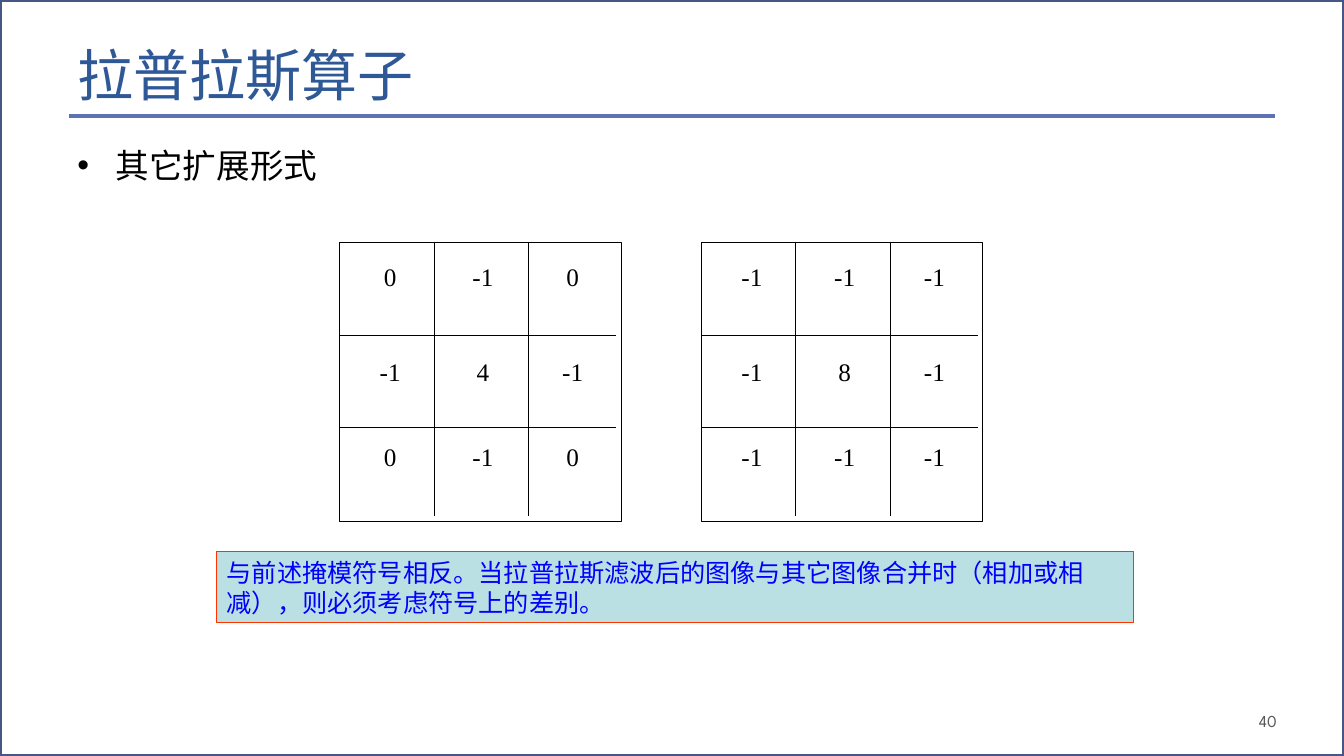
from dataclasses import dataclass
from itertools import product

from lxml.etree import SubElement
from pptx import Presentation
from pptx.dml.color import RGBColor
from pptx.enum.shapes import MSO_CONNECTOR as Connector, MSO_SHAPE as Preset
from pptx.enum.text import MSO_ANCHOR as Anchor, MSO_AUTO_SIZE as AutoSize, PP_ALIGN as Align
from pptx.oxml.ns import qn
from pptx.util import Inches, Pt

WIDTH, HEIGHT = Inches(13.33), Inches(7.5)
CJK_FONT = "Noto Sans CJK SC"
BLACK = "000000"


@dataclass(frozen=True)
class Box:
    left: float
    top: float
    width: float
    height: float

    def emu(self) -> tuple[int, int, int, int]:
        return across(self.left), down(self.top), across(self.width), down(self.height)


@dataclass(frozen=True)
class TextStyle:
    size: float
    font: str
    color: str
    align: Align = Align.LEFT
    anchor: Anchor = Anchor.TOP
    line_points: float | None = None


@dataclass(frozen=True)
class Mask:
    left: float
    rows: tuple[tuple[str, ...], ...]


MASK_TOP, MASK_WIDTH, MASK_HEIGHT = 32.13, 20.93, 36.8
COLUMN_STEP, ROW_STEP = 7.02, 12.2
COLUMN_LINE, ROW_LINE = 36.13, 20.59
VALUE_LEFTS, VALUE_TOPS = (-1.65, 5.25, 11.93), (1.73, 14.4, 25.6)
VALUE_WIDTH, VALUE_HEIGHT = 10.8, 11.73
VALUE_STYLE = TextStyle(18, "Times New Roman", BLACK, Align.CENTER)

MASKS = (
    Mask(25.28, (("0", "-1", "0"), ("-1", "4", "-1"), ("0", "-1", "0"))),
    Mask(52.2, (("-1", "-1", "-1"), ("-1", "8", "-1"), ("-1", "-1", "-1"))),
)


def across(percent: float) -> int:
    return round(WIDTH * percent / 100)


def down(percent: float) -> int:
    return round(HEIGHT * percent / 100)


def rgb(color: str) -> RGBColor:
    return RGBColor.from_string(color)


def write(holder, text: str, style: TextStyle):
    frame = holder.text_frame
    frame.text = text
    frame.word_wrap = True
    frame.auto_size = AutoSize.NONE
    frame.vertical_anchor = style.anchor
    paragraph = frame.paragraphs[0]
    paragraph.alignment = style.align
    if style.line_points:
        paragraph.line_spacing = Pt(style.line_points)
    for run in paragraph.runs:
        run.font.size = Pt(style.size)
        run.font.name = style.font
        run.font.color.rgb = rgb(style.color)
        SubElement(run.font._element, qn("a:ea")).set("typeface", style.font)
    return paragraph


def place(holder, box: Box) -> None:
    holder.left, holder.top, holder.width, holder.height = box.emu()


def add_text(slide, box: Box, text: str, style: TextStyle):
    holder = slide.shapes.add_textbox(*box.emu())
    write(holder, text, style)
    return holder


def add_rectangle(slide, box: Box, line: str, points: float, fill: str | None = None):
    rectangle = slide.shapes.add_shape(Preset.RECTANGLE, *box.emu())
    rectangle.shadow.inherit = False
    rectangle.line.color.rgb = rgb(line)
    rectangle.line.width = Pt(points)
    if fill:
        rectangle.fill.solid()
        rectangle.fill.fore_color.rgb = rgb(fill)
    else:
        rectangle.fill.background()
    return rectangle


def add_rule(slide, box: Box, color: str, points: float) -> None:
    left, top, width, height = box.emu()
    rule = slide.shapes.add_connector(
        Connector.STRAIGHT, left, top, left + width, top + height)
    rule.line.color.rgb = rgb(color)
    rule.line.width = Pt(points)
    SubElement(rule._element.spPr, qn("a:effectLst"))


def add_mask(slide, mask: Mask) -> None:
    add_rectangle(slide, Box(mask.left, MASK_TOP, MASK_WIDTH, MASK_HEIGHT), BLACK, 0.75)
    for step in (1, 2):
        row_top = MASK_TOP + step * ROW_STEP
        column_left = mask.left + step * COLUMN_STEP
        add_rule(slide, Box(mask.left, row_top, ROW_LINE, 0), BLACK, 0.75)
        add_rule(slide, Box(column_left, MASK_TOP, 0, COLUMN_LINE), BLACK, 0.75)
    for row, column in product(range(3), repeat=2):
        value_box = Box(mask.left + VALUE_LEFTS[column], MASK_TOP + VALUE_TOPS[row],
                        VALUE_WIDTH, VALUE_HEIGHT)
        add_text(slide, value_box, mask.rows[row][column], VALUE_STYLE)


def add_heading(slide) -> None:
    title = slide.shapes.title
    place(title, Box(5, 0, 90, 14.93))
    write(title, "拉普拉斯算子",
          TextStyle(40, CJK_FONT, "2F5897", anchor=Anchor.BOTTOM, line_points=58))
    add_rule(slide, Box(5.1, 15.33, 89.8, 0), "5C72B2", 3)


def add_topic(slide) -> None:
    topic = slide.placeholders[1]
    place(topic, Box(5, 18.53, 90, 71.33))
    paragraph = write(topic, "其它扩展形式",
                      TextStyle(24, CJK_FONT, BLACK, line_points=28.8))
    paragraph.space_before = Pt(4.8)
    properties = paragraph._p.get_or_add_pPr()
    properties.set("marL", str(Inches(0.38)))
    properties.set("indent", str(-Inches(0.38)))
    SubElement(properties, qn("a:buChar")).set("char", "•")


def add_sign_note(slide) -> None:
    note = add_rectangle(slide, Box(16.13, 72.93, 68.25, 9.47), "FF3300", 0.75, "BBE0E3")
    write(note, "与前述掩模符号相反。当拉普拉斯滤波后的图像与其它图像合并时"
                "（相加或相减），则必须考虑符号上的差别。",
          TextStyle(18, CJK_FONT, "0000FF", anchor=Anchor.MIDDLE, line_points=21.6))


def main() -> None:
    deck = Presentation()
    deck.slide_width, deck.slide_height = WIDTH, HEIGHT
    slide = deck.slides.add_slide(deck.slide_layouts[1])
    slide.background.fill.solid()
    slide.background.fill.fore_color.rgb = rgb("FFFFFF")
    add_rectangle(slide, Box(0, 0, 100, 100), "475785", 2.25)
    add_heading(slide)
    add_topic(slide)
    for mask in MASKS:
        add_mask(slide, mask)
    add_sign_note(slide)
    page_number = add_text(slide, Box(93.45, 92.67, 6.15, 5.33), "40",
                           TextStyle(12, "League Spartan", "595959", anchor=Anchor.MIDDLE))
    page_number.text_frame.margin_left = Inches(0.03)
    deck.save("out.pptx")


if __name__ == "__main__":
    main()
